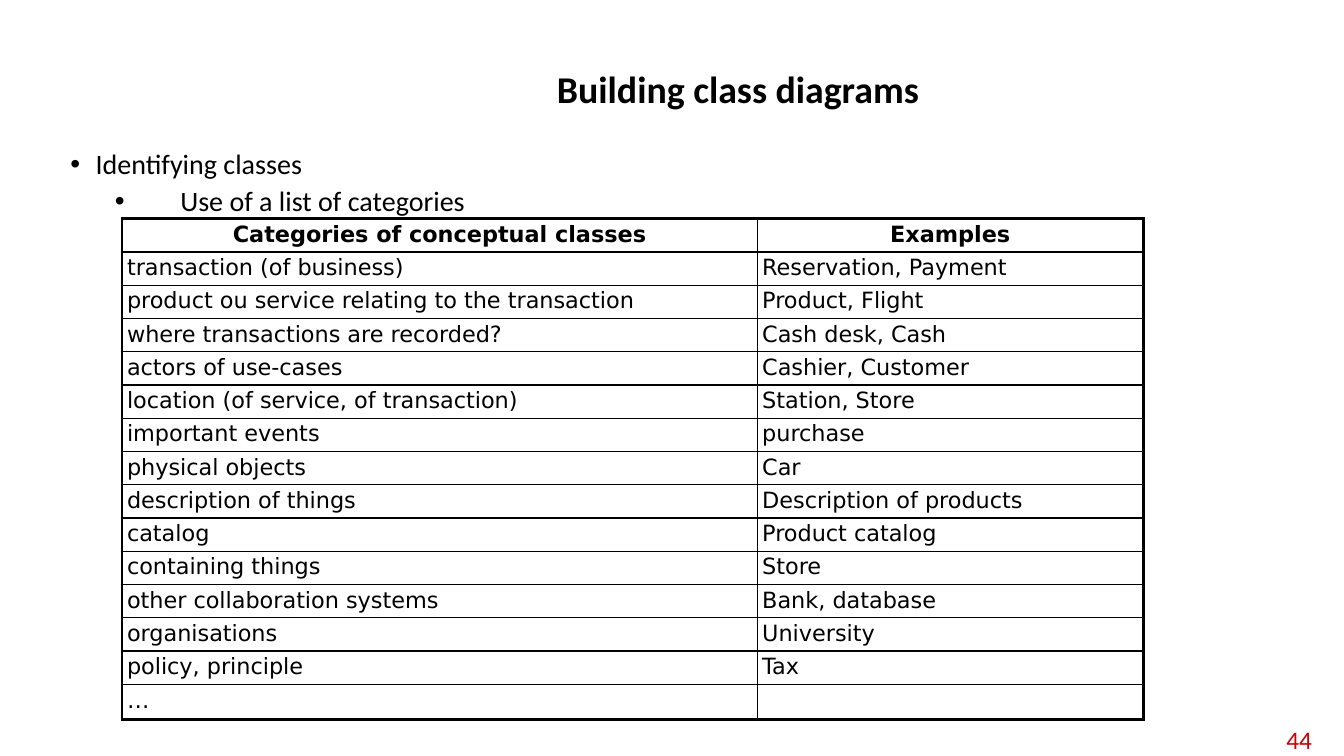
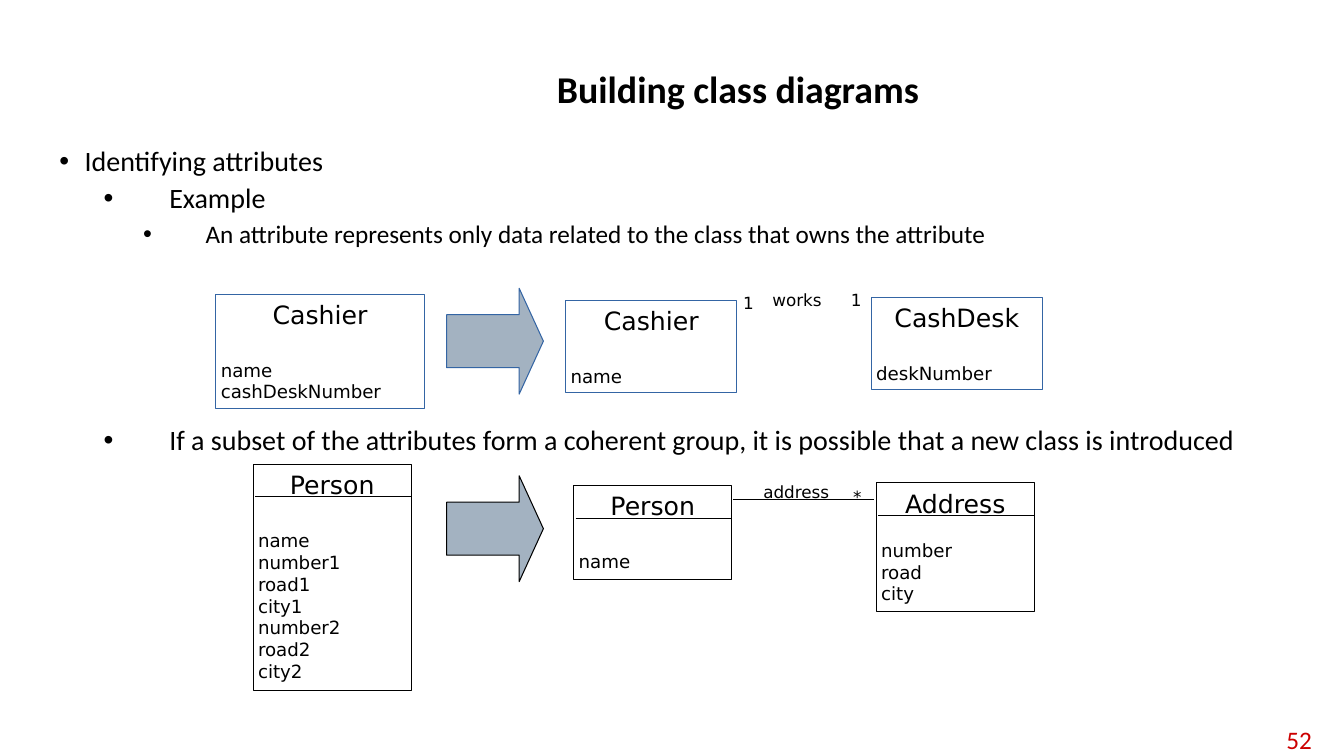
"""Build two slides on finding classes and attributes for class diagrams."""
from lxml import etree
from pptx import Presentation
from pptx.dml.color import RGBColor
from pptx.enum.shapes import MSO_CONNECTOR, MSO_SHAPE
from pptx.enum.text import MSO_ANCHOR, PP_ALIGN
from pptx.oxml.ns import qn
from pptx.util import Inches, Pt

color = RGBColor.from_string
BLACK, RED, BLUE, GREY = "000000", "CC0000", "3465A4", "A3B2C1"
SANS, DIAGRAM_FONT = "Calibri", "DejaVu Sans"
BULLET_LEVELS = [(0.25, -0.25, 20), (1.09, -0.65, 20), (1.45, -0.62, 18)]

presentation = Presentation()
presentation.slide_width = Inches(13.33)
presentation.slide_height = Inches(7.5)


def write(paragraph, text, size, font=DIAGRAM_FONT, ink=BLACK, bold=False, align=PP_ALIGN.LEFT):
    """Put one formatted run in a paragraph."""
    run = paragraph.add_run()
    run.text = text
    run.font.name = font
    run.font.size = Pt(size)
    run.font.bold = bold
    run.font.color.rgb = color(ink)
    paragraph.alignment = align


def add_bullet_slide(number, body_area, bullets):
    """Add a slide with the shared title, its page number and bullets."""
    slide = presentation.slides.add_slide(presentation.slide_layouts[5])
    title = slide.shapes.title
    title.left, title.top, title.width, title.height = map(Inches, (2.23, 0.4, 10.18, 1.02))
    title.text_frame.vertical_anchor = MSO_ANCHOR.MIDDLE
    paragraph = title.text_frame.paragraphs[0]
    paragraph.line_spacing = 0.9
    write(paragraph, "Building class diagrams", 27, SANS, bold=True, align=PP_ALIGN.CENTER)

    page = slide.shapes.add_textbox(*map(Inches, (12.42, 7.16, 0.69, 0.36))).text_frame
    page.word_wrap = True
    page.vertical_anchor = MSO_ANCHOR.MIDDLE
    write(page.paragraphs[0], number, 18, SANS, RED, align=PP_ALIGN.RIGHT)

    body = slide.shapes.add_textbox(*map(Inches, body_area)).text_frame
    body.word_wrap = True
    for index, (level, space_before, text) in enumerate(bullets):
        paragraph = body.add_paragraph() if index else body.paragraphs[0]
        margin, indent, size = BULLET_LEVELS[level]
        properties = paragraph._p.get_or_add_pPr()
        properties.set("marL", str(Inches(margin)))
        properties.set("indent", str(Inches(indent)))
        etree.SubElement(properties, qn("a:buFont")).set("typeface", "Arial")
        etree.SubElement(properties, qn("a:buChar")).set("char", "•")
        paragraph.level = level
        paragraph.line_spacing = 0.9
        paragraph.space_before = Pt(space_before)
        write(paragraph, text, size, SANS)
    return slide


slide = add_bullet_slide("44", (0.6, 1.44, 11.8, 5.92), [
    (0, 0, "Identifying classes"),
    (1, 5, "Use of a list of categories"),
])
categories = [
    ("Categories of conceptual classes", "Examples"),
    ("transaction (of business)", "Reservation, Payment"),
    ("product ou service relating to the transaction", "Product, Flight"),
    ("where transactions are recorded?", "Cash desk, Cash"),
    ("actors of use-cases", "Cashier, Customer"),
    ("location (of service, of transaction)", "Station, Store"),
    ("important events", "purchase"),
    ("physical objects", "Car"),
    ("description of things", "Description of products"),
    ("catalog", "Product catalog"),
    ("containing things", "Store"),
    ("other collaboration systems", "Bank, database"),
    ("organisations", "University"),
    ("policy, principle", "Tax"),
    ("…", ""),
]
last_row = len(categories) - 1
table = slide.shapes.add_table(
    len(categories), 2, Inches(1.21), Inches(2.17), Inches(10.13), Inches(0.33 * len(categories))
).table
table.first_row = table.horz_banding = False
table.columns[0].width, table.columns[1].width = Inches(6.3), Inches(3.83)
for row, texts in enumerate(categories):
    table.rows[row].height = Inches(0.33)
    for column, text in enumerate(texts):
        cell = table.cell(row, column)
        cell.margin_left = cell.margin_right = Inches(0.05)
        cell.margin_top, cell.margin_bottom = Inches(0.03), Inches(0.02)
        header = row == 0
        write(cell.text_frame.paragraphs[0], text, 16, bold=header,
              align=PP_ALIGN.CENTER if header else PP_ALIGN.LEFT)
        outer_edges = {"L": column == 0, "R": column == 1, "T": header, "B": row == last_row}
        for side, outer in outer_edges.items():
            border = etree.SubElement(cell._tc.get_or_add_tcPr(), qn(f"a:ln{side}"))
            border.set("w", str(Pt(2.25 if outer else 1)))
            fill = etree.SubElement(border, qn("a:solidFill"))
            etree.SubElement(fill, qn("a:srgbClr")).set("val", BLACK)
        cell.fill.background()

slide = add_bullet_slide("52", (0.49, 1.41, 11.99, 5.79), [
    (0, 0, "Identifying attributes"),
    (1, 5, "Example"),
    (2, 5, "An attribute represents only data related to the class that owns the attribute"),
    (1, 127, "If a subset of the attributes form a coherent group, "
             "it is possible that a new class is introduced"),
])
class_boxes = [
    ("Cashier", ["name", "cashDeskNumber"], (2.14, 2.92, 2.07, 1.13), BLUE, 21),
    ("Cashier", ["name"], (5.61, 2.98, 1.7, 0.91), BLUE, 21),
    ("CashDesk", ["deskNumber"], (8.64, 2.95, 1.7, 0.91), BLUE, 21),
    ("Person", ["name", "number1", "road1", "city1", "number2", "road2", "city2"],
     (2.51, 4.61, 1.57, 2.24), BLACK, 21),
    ("Person", ["name"], (5.69, 4.82, 1.57, 0.93), BLACK, 21),
    ("Address", ["number", "road", "city"], (8.69, 4.79, 1.57, 1.28), BLACK, 15),
]
lines = [(7.27, 8.67, 4.96)]
for name, attributes, area, outline, gap in class_boxes:
    shape = slide.shapes.add_shape(MSO_SHAPE.RECTANGLE, *map(Inches, area))
    shape.shadow.inherit = False
    shape.fill.background()
    shape.line.color.rgb = color(outline)
    shape.line.width = Pt(0.75)
    frame = shape.text_frame
    frame.word_wrap = True
    frame.vertical_anchor = MSO_ANCHOR.TOP
    frame.margin_left = frame.margin_right = Inches(0.05)
    frame.margin_top = frame.margin_bottom = Inches(0.05)
    write(frame.paragraphs[0], name, 18, align=PP_ALIGN.CENTER)
    for index, attribute in enumerate(attributes):
        paragraph = frame.add_paragraph()
        paragraph.space_before = Pt(0 if index else gap)
        write(paragraph, attribute, 13)
    if outline == BLACK:
        left, top, width, height = area
        lines.append((left + 0.02, left + width, top + 0.32))

for start, end, y in lines:
    connector = slide.shapes.add_connector(
        MSO_CONNECTOR.STRAIGHT, Inches(start), Inches(y), Inches(end), Inches(y))
    connector.line.color.rgb = color(BLACK)
    connector.line.width = Pt(0.75)
    etree.SubElement(connector._element.spPr, qn("a:effectLst"))

for top, outline in [(2.86, BLUE), (4.72, BLACK)]:
    arrow = slide.shapes.add_shape(
        MSO_SHAPE.RIGHT_ARROW, Inches(4.43), Inches(top), Inches(0.96), Inches(1.05))
    arrow.shadow.inherit = False
    arrow.adjustments[0], arrow.adjustments[1] = 0.5, 0.25
    arrow.fill.solid()
    arrow.fill.fore_color.rgb = color(GREY)
    arrow.line.color.rgb = color(outline)
    arrow.line.width = Pt(0.75)

association_labels = [
    ("1", 7.33, 2.86, 0.22),
    ("works", 7.62, 2.83, 0.7),
    ("1", 8.4, 2.83, 0.22),
    ("address", 7.53, 4.73, 0.85),
    ("*", 8.42, 4.78, 0.22),
]
for text, left, top, width in association_labels:
    frame = slide.shapes.add_textbox(
        Inches(left), Inches(top), Inches(width), Inches(0.3)).text_frame
    frame.word_wrap = False
    frame.margin_left = frame.margin_right = Inches(0.04)
    frame.margin_top = frame.margin_bottom = Inches(0.05)
    write(frame.paragraphs[0], text, 12)

presentation.save("out.pptx")
